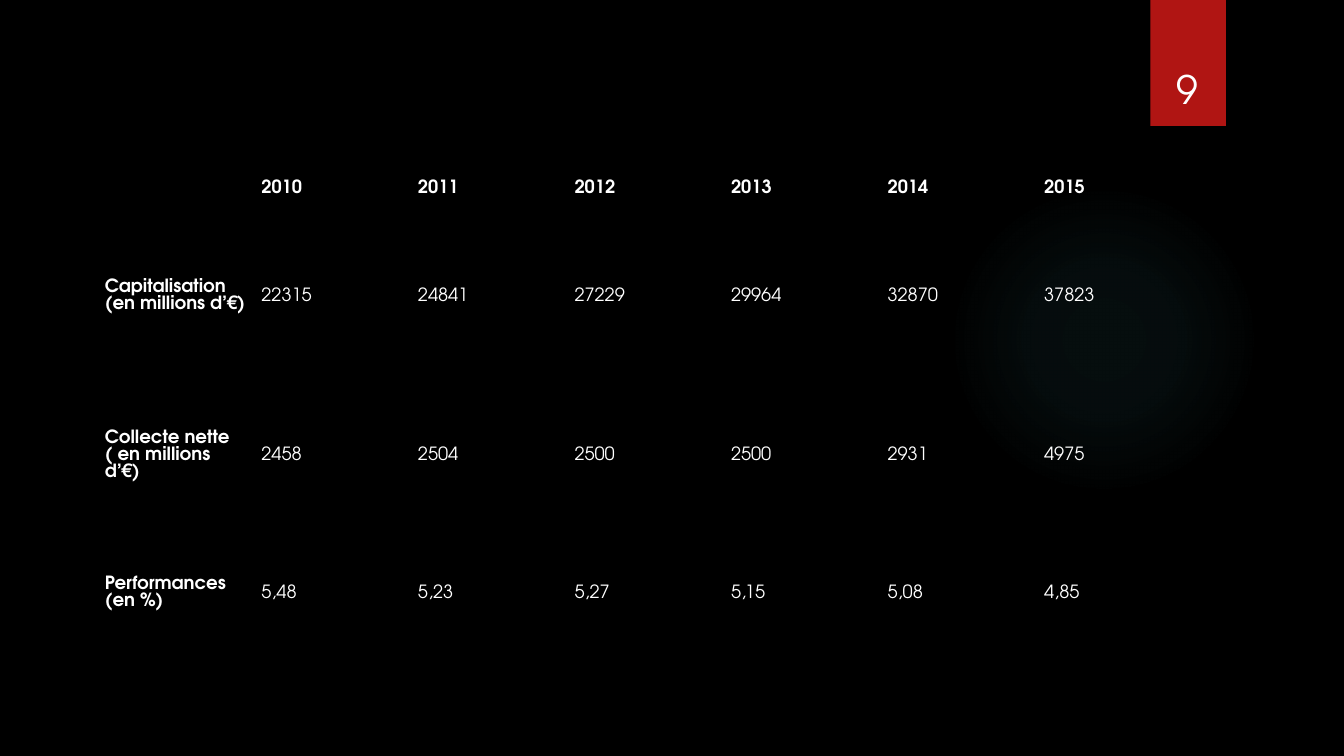
from lxml import etree
from pptx import Presentation
from pptx.dml.color import RGBColor
from pptx.enum.shapes import MSO_SHAPE
from pptx.enum.text import MSO_ANCHOR, PP_ALIGN
from pptx.oxml import parse_xml
from pptx.oxml.ns import qn
from pptx.util import Inches, Pt

OVAL, RECTANGLE = MSO_SHAPE.OVAL, MSO_SHAPE.RECTANGLE
MIDDLE, BOTTOM = MSO_ANCHOR.MIDDLE, MSO_ANCHOR.BOTTOM
CENTER = PP_ALIGN.CENTER
FONT = "TeX Gyre Adventor"
NO_STYLE = "{2D5ABB26-0587-4C30-8999-92F81FD0307C}"
DRAWING_NS = "http://schemas.openxmlformats.org/drawingml/2006/main"
COLORS = {"background": "000000", "glow": "50B9C1", "ribbon": "B01513", "text": "FFFFFF"}


def style_text(paragraph, size, bold=False):
    for attribute, setting in {"name": FONT, "size": Pt(size), "bold": bold}.items():
        setattr(paragraph.font, attribute, setting)
    paragraph.font.color.rgb = RGBColor.from_string(COLORS["text"])


def add_plain_shape(kind, left, top, width, height):
    shape = slide.shapes.add_shape(kind, Inches(left), Inches(top), Inches(width), Inches(height))
    shape.shadow.inherit = False
    shape.line.fill.background()
    return shape


deck = Presentation()
deck.slide_width, deck.slide_height = Inches(13.33), Inches(7.5)
slide = deck.slides.add_slide(deck.slide_layouts[6])
slide.background.fill.solid()
slide.background.fill.fore_color.rgb = RGBColor.from_string(COLORS["background"])

glow = add_plain_shape(OVAL, 9.41, 1.83, 3.08, 3.08)
stops = "".join(
    f'<a:gs pos="{position * 1000}"><a:srgbClr val="{COLORS["glow"]}">'
    f'<a:alpha val="{opacity * 1000}"/></a:srgbClr></a:gs>'
    for position, opacity in [(0, 7), (36, 6), (69, 0), (100, 0)]
)
glow_gradient = parse_xml(
    f'<a:gradFill xmlns:a="{DRAWING_NS}" rotWithShape="1"><a:gsLst>{stops}</a:gsLst>'
    '<a:path path="circle"><a:fillToRect l="50000" t="50000" r="50000" b="50000"/></a:path>'
    "</a:gradFill>"
)
glow._element.spPr.find(qn("a:prstGeom")).addnext(glow_gradient)

ribbon = add_plain_shape(RECTANGLE, 11.41, 0, 0.75, 1.25)
ribbon.fill.solid()
ribbon.fill.fore_color.rgb = RGBColor.from_string(COLORS["ribbon"])

fund_rows = [
    ["", "2010", "2011", "2012", "2013", "2014", "2015"],
    ["Capitalisation (en millions d’€)", "22315", "24841", "27229", "29964", "32870", "37823"],
    ["Collecte nette ( en millions d’€)", "2458", "2504", "2500", "2500", "2931", "4975"],
    ["Performances (en %)", "5,48", "5,23", "5,27", "5,15", "5,08", "4,85"],
]
row_heights = [0.57, 1.58, 1.58, 1.15]
fund_frame = slide.shapes.add_table(
    len(fund_rows), len(fund_rows[0]), Inches(0.97), Inches(1.58), Inches(10.87), Inches(4.87)
)
fund_table = fund_frame.table
fund_table.first_row = fund_table.horz_banding = False
fund_table._tbl.tblPr.find(qn("a:tableStyleId")).text = NO_STYLE
for column in fund_table.columns:
    column.width = Inches(10.87 / 7)
cell_format = {
    "vertical_anchor": MIDDLE,
    "margin_left": Inches(0.07),
    "margin_right": Inches(0.07),
    "margin_top": Inches(0.04),
    "margin_bottom": Inches(0.04),
}
for row_index, (entries, height) in enumerate(zip(fund_rows, row_heights)):
    fund_table.rows[row_index].height = Inches(height)
    for column_index, entry in enumerate(entries):
        cell = fund_table.cell(row_index, column_index)
        cell.fill.background()
        for attribute, setting in cell_format.items():
            setattr(cell, attribute, setting)
        cell.text = entry
        style_text(cell.text_frame.paragraphs[0], 13, row_index == 0 or column_index == 0)

page_number = slide.shapes.add_textbox(Inches(11.32), Inches(0.32), Inches(0.92), Inches(0.84)).text_frame
page_number.word_wrap = True
page_number.vertical_anchor = BOTTOM
page_number.text = "9"
page_number.paragraphs[0].alignment = CENTER
style_text(page_number.paragraphs[0], 28)

deck.save("out.pptx")
